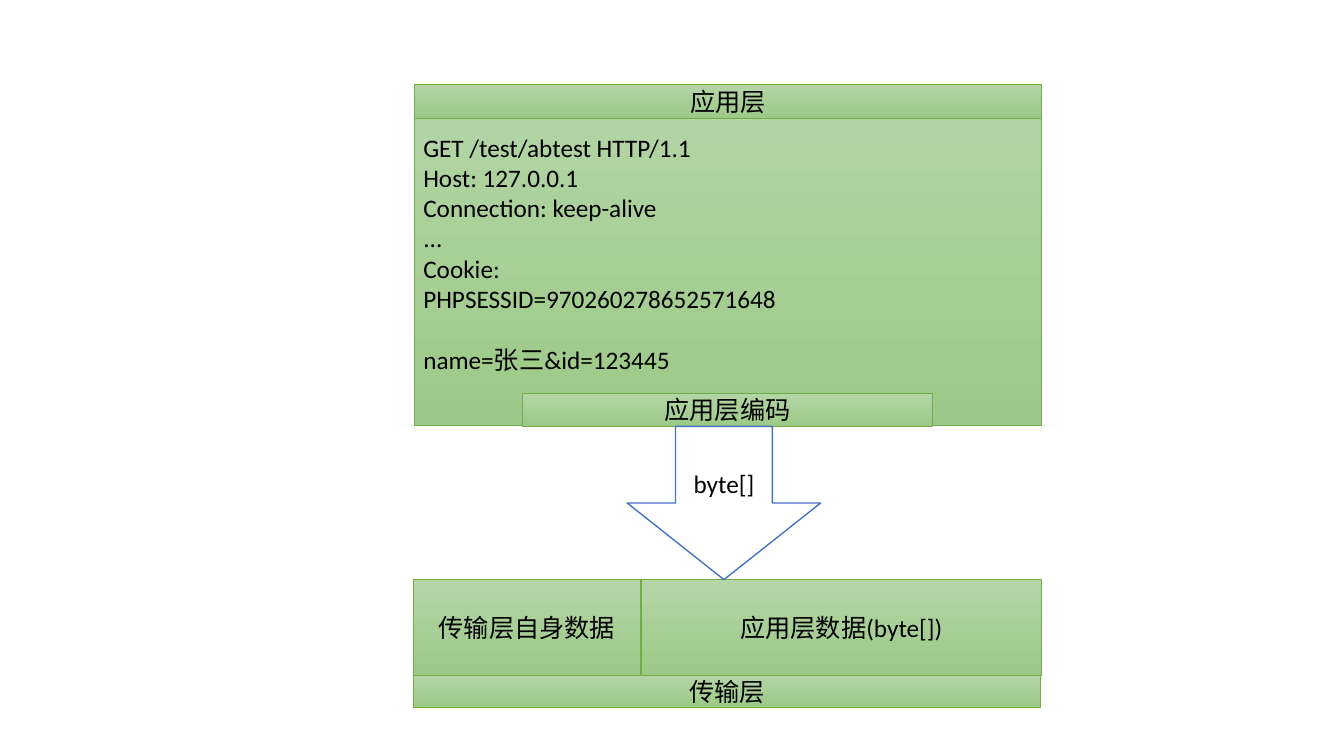
from pptx import Presentation
from pptx.dml.color import RGBColor
from pptx.enum.shapes import MSO_SHAPE
from pptx.enum.text import MSO_ANCHOR, PP_ALIGN
from pptx.util import Inches, Pt

RECT, DOWN_ARROW = MSO_SHAPE.RECTANGLE, MSO_SHAPE.DOWN_ARROW
MIDDLE, TOP = MSO_ANCHOR.MIDDLE, MSO_ANCHOR.TOP
CENTER, LEFT = PP_ALIGN.CENTER, PP_ALIGN.LEFT
BLANK_LAYOUT = 6


def rgb(value):
    """Turn a hex string into a colour."""
    return RGBColor.from_string(value)


class LayerDiagram:
    """Hold the style and the current slide."""

    font = {"name": "Calibri", "size": Pt(18)}
    text_color = "000000"
    gradient = ("B5D5A7", "9CC987")
    box_line = ("70AD47", 0.5)
    arrow_line = ("4472C4", 1)
    arrow_fill = "FFFFFF"

    def __init__(self, slide):
        """Keep the slide to draw on."""
        self.slide = slide

    def set_lines(self, tf, lines, align, anchor):
        """Fill a text frame with one paragraph per line."""
        tf.word_wrap = True
        tf.vertical_anchor = anchor
        for i, line in enumerate(lines):
            p = tf.paragraphs[0] if i == 0 else tf.add_paragraph()
            p.text = line
            p.alignment = align
            for r in p.runs:
                for key, value in self.font.items():
                    setattr(r.font, key, value)
                r.font.color.rgb = rgb(self.text_color)

    def shape(self, kind, at, text, line):
        """Add a preset shape with an outline and centred text."""
        sp = self.slide.shapes.add_shape(kind, *map(Inches, at))
        sp.shadow.inherit = False
        color, width = line
        sp.line.color.rgb = rgb(color)
        sp.line.width = Pt(width)
        if text:
            self.set_lines(sp.text_frame, [text], CENTER, MIDDLE)
        return sp

    def box(self, at, text=None):
        """Add a rectangle with the green gradient."""
        fill = self.shape(RECT, at, text, self.box_line).fill
        fill.gradient()
        fill.gradient_angle = 270
        for stop, color in zip(fill.gradient_stops, self.gradient):
            stop.color.rgb = rgb(color)

    def arrow(self, at, text):
        """Add a white block arrow pointing down."""
        fill = self.shape(DOWN_ARROW, at, text, self.arrow_line).fill
        fill.solid()
        fill.fore_color.rgb = rgb(self.arrow_fill)

    def text(self, at, lines):
        """Add a left-aligned text box and return its paragraphs."""
        tf = self.slide.shapes.add_textbox(*map(Inches, at)).text_frame
        self.set_lines(tf, lines, LEFT, TOP)
        return tf.paragraphs


prs = Presentation()
prs.slide_width, prs.slide_height = Inches(13.33), Inches(7.5)
s = LayerDiagram(prs.slides.add_slide(prs.slide_layouts[BLANK_LAYOUT]))

left, width, bar = 4.11, 6.22, 0.33
app_top, app_height = 0.84, 3.38
transport_top, cell_height = 5.75, 0.95
header_width = 2.25
app_bottom = app_top + app_height

s.box((left, app_top, width, app_height))
s.box((left, app_top, width, bar), "应用层")
s.box((left - 0.01, transport_top + cell_height - 0.01, width, bar), "传输层")

request = s.text((left - 0.01, 1.26, 4.51, 2.5), [
    "GET /test/abtest HTTP/1.1",
    "Host: 127.0.0.1",
    "Connection: keep-alive",
    "...",
    "Cookie:\vPHPSESSID=970260278652571648",
    "name=张三&id=123445",
])
request[-1].space_before = Pt(22)

s.box((5.18, app_bottom - bar + 0.01, 4.07, bar), "应用层编码")
s.box((left + header_width, transport_top, width - header_width, cell_height),
      "应用层数据(byte[])")
s.box((left - 0.01, transport_top, header_width, cell_height), "传输层自身数据")
s.arrow((6.22, app_bottom + 0.01, 1.92, transport_top - app_bottom - 0.01), "byte[]")

prs.save("out.pptx")
